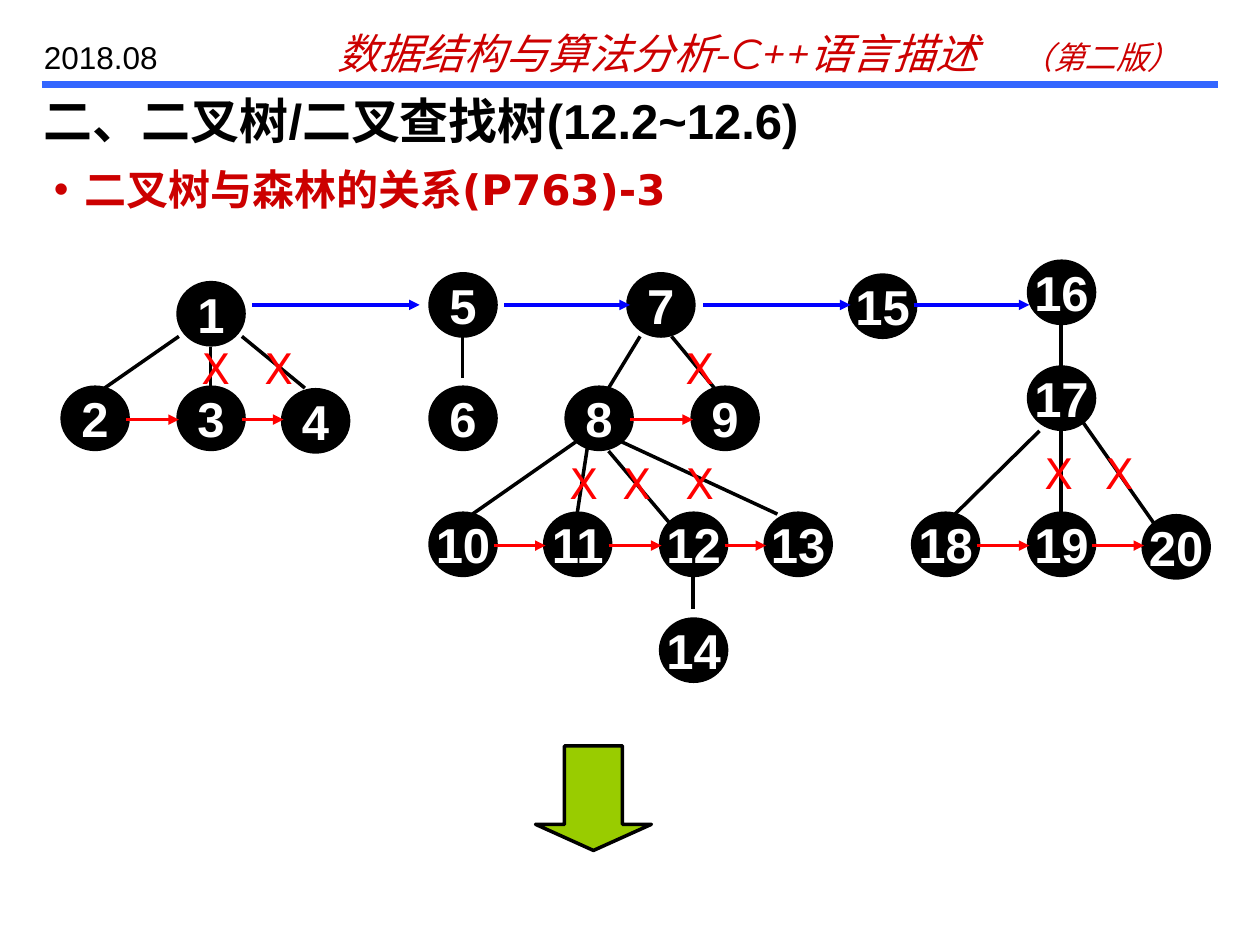
from dataclasses import dataclass
from itertools import pairwise

from lxml import etree
from pptx import Presentation
from pptx.dml.color import RGBColor
from pptx.enum.shapes import MSO_CONNECTOR, MSO_SHAPE
from pptx.enum.text import MSO_ANCHOR, PP_ALIGN
from pptx.oxml.ns import qn
from pptx.util import Inches, Pt


@dataclass(frozen=True)
class Theme:
    black: str = "000000"
    white: str = "FFFFFF"
    heading: str = "CC0000"
    rule: str = "3366FF"
    cut: str = "FF0000"
    root_link: str = "0000FF"
    result: str = "99CC00"
    body_font: str = "Arial"
    topic_font: str = "DejaVu Sans"
    header_font: str = "Montserrat"
    large: int = 28
    medium: int = 24
    small: int = 18
    rule_width: int = 4
    node_width: int = 3
    line_width: int = 2


class SlideBuilder:
    def __init__(self, slide, theme):
        self.slide = slide
        self.theme = theme

    def run(self, paragraph, text, size, font, color, bold=False, italic=False):
        run = paragraph.add_run()
        run.text = text
        run.font.size = Pt(size)
        run.font.name = font
        run.font.bold = bold
        run.font.italic = italic
        run.font.color.rgb = RGBColor.from_string(color)

    def text(self, left, top, width, height, wrap=True):
        box = self.slide.shapes.add_textbox(
            Inches(left), Inches(top), Inches(width), Inches(height))
        box.text_frame.word_wrap = wrap
        return box.text_frame.paragraphs[0]

    def tab_stop(self, paragraph, position):
        stops = etree.SubElement(paragraph._p.get_or_add_pPr(), qn("a:tabLst"))
        etree.SubElement(stops, qn("a:tab"), pos=str(Inches(position)), algn="l")

    def bullet(self, paragraph, color, indent):
        props = paragraph._p.get_or_add_pPr()
        props.set("marL", str(Inches(indent)))
        props.set("indent", str(-Inches(indent)))
        bullet_color = etree.SubElement(props, qn("a:buClr"))
        etree.SubElement(bullet_color, qn("a:srgbClr"), val=color)
        etree.SubElement(props, qn("a:buFont"), typeface=self.theme.body_font)
        etree.SubElement(props, qn("a:buChar"), char="•")

    def shape(self, kind, left, top, width, height, fill, line_width):
        shape = self.slide.shapes.add_shape(
            kind, Inches(left), Inches(top), Inches(width), Inches(height))
        shape.shadow.inherit = False
        shape.fill.solid()
        shape.fill.fore_color.rgb = RGBColor.from_string(fill)
        shape.line.color.rgb = RGBColor.from_string(self.theme.black)
        shape.line.width = Pt(line_width)
        return shape

    def node(self, label, left, top):
        theme = self.theme
        frame = self.shape(MSO_SHAPE.OVAL, left, top, 0.51, 0.48,
                           theme.black, theme.node_width).text_frame
        frame.word_wrap = False
        frame.vertical_anchor = MSO_ANCHOR.MIDDLE
        paragraph = frame.paragraphs[0]
        paragraph.alignment = PP_ALIGN.CENTER
        self.run(paragraph, label, theme.large, theme.body_font, theme.white, bold=True)

    def line(self, x1, y1, x2, y2, color, width, arrow=False):
        line = self.slide.shapes.add_connector(
            MSO_CONNECTOR.STRAIGHT, Inches(x1), Inches(y1), Inches(x2), Inches(y2))
        line.line.color.rgb = RGBColor.from_string(color)
        line.line.width = Pt(width)
        if arrow:
            etree.SubElement(line.line._get_or_add_ln(), qn("a:tailEnd"), type="triangle")
        etree.SubElement(line._element.spPr, qn("a:effectLst"))

    def cut_mark(self, left, top):
        theme = self.theme
        paragraph = self.text(left, top, 0.39, 0.5, wrap=False)
        self.run(paragraph, "X", theme.medium, theme.topic_font, theme.cut)


NODES = {
    1: (1.42, 2.25), 2: (0.5, 3.08), 3: (1.42, 3.08), 4: (2.25, 3.1),
    5: (3.42, 2.18), 6: (3.42, 3.08),
    7: (4.99, 2.18), 8: (4.5, 3.08), 9: (5.5, 3.08),
    10: (3.42, 4.08), 11: (4.33, 4.08), 12: (5.25, 4.08), 13: (6.08, 4.08),
    14: (5.25, 4.92), 15: (6.75, 2.19),
    16: (8.17, 2.08), 17: (8.17, 2.92),
    18: (7.25, 4.08), 19: (8.17, 4.08), 20: (9.08, 4.1),
}
EDGES = [
    (1.42, 2.67, 0.83, 3.08), (1.67, 2.75, 1.67, 3.08), (1.92, 2.67, 2.42, 3.08),
    (3.67, 2.67, 3.67, 3), (5.08, 2.67, 4.83, 3.08), (5.33, 2.67, 5.67, 3.08),
    (4.58, 3.5, 3.75, 4.08), (4.67, 3.5, 4.58, 4.08), (4.83, 3.58, 5.33, 4.17),
    (4.92, 3.5, 6.17, 4.08), (5.5, 4.58, 5.5, 4.83), (8.42, 2.58, 8.42, 2.92),
    (8.25, 3.42, 7.58, 4.08), (8.42, 3.42, 8.42, 4.08), (8.58, 3.33, 9.17, 4.17),
]
SIBLINGS = [(2, 3, 4), (8, 9), (10, 11, 12, 13), (18, 19, 20)]
CUTS = {2.67: (1.5, 2, 5.34), 3.58: (4.42, 4.84, 5.34), 3.5: (8.19, 8.67)}
ROOT_LINKS = [(2, 3.33), (4, 5), (5.58, 6.75), (7.25, 8.17)]


def add_headings(builder):
    theme = builder.theme
    builder.line(0.33, 0.67, 9.67, 0.67, theme.rule, theme.rule_width)

    book = builder.text(2.58, 0.17, 7, 0.5)
    builder.tab_stop(book, 5.43)
    builder.run(book, "数据结构与算法分析-C++语言描述\t", theme.medium,
                theme.header_font, theme.heading, italic=True)
    builder.run(book, "（第二版）", theme.small,
                theme.header_font, theme.heading, italic=True)

    date = builder.text(0.25, 0.25, 1.42, 0.4)
    builder.run(date, "2018.08", theme.small, theme.body_font, theme.black)

    topic = builder.text(0.33, 1.25, 9.67, 0.5)
    builder.bullet(topic, theme.heading, 0.24)
    builder.run(topic, "二叉树与森林的关系(P763)-3", theme.medium,
                theme.topic_font, theme.heading, bold=True)

    title = builder.text(0.25, 0.67, 9.75, 0.5)
    builder.run(title, "二、二叉树/二叉查找树(12.2~12.6)", theme.large,
                theme.body_font, theme.black, bold=True)


def add_forest(builder):
    theme = builder.theme
    for label, (left, top) in NODES.items():
        builder.node(str(label), left, top)
    for edge in EDGES:
        builder.line(*edge, theme.black, theme.line_width)
    for family in SIBLINGS:
        level = NODES[family[0]][1] + 0.25
        for elder, younger in pairwise(family):
            builder.line(NODES[elder][0] + 0.5, level, NODES[younger][0], level,
                         theme.cut, theme.line_width, arrow=True)
    for top, lefts in CUTS.items():
        for left in lefts:
            builder.cut_mark(left, top)
    for start, end in ROOT_LINKS:
        builder.line(start, 2.42, end, 2.42, theme.root_link, theme.line_width, arrow=True)
    result = builder.shape(MSO_SHAPE.DOWN_ARROW, 4.25, 5.92, 0.92, 0.83,
                           theme.result, theme.line_width)
    result.adjustments[0] = 0.5
    result.adjustments[1] = 0.25


def main():
    presentation = Presentation()
    presentation.slide_width = Inches(10)
    presentation.slide_height = Inches(7.5)
    slide = presentation.slides.add_slide(presentation.slide_layouts[6])
    builder = SlideBuilder(slide, Theme())
    add_headings(builder)
    add_forest(builder)
    presentation.save("out.pptx")


if __name__ == "__main__":
    main()
